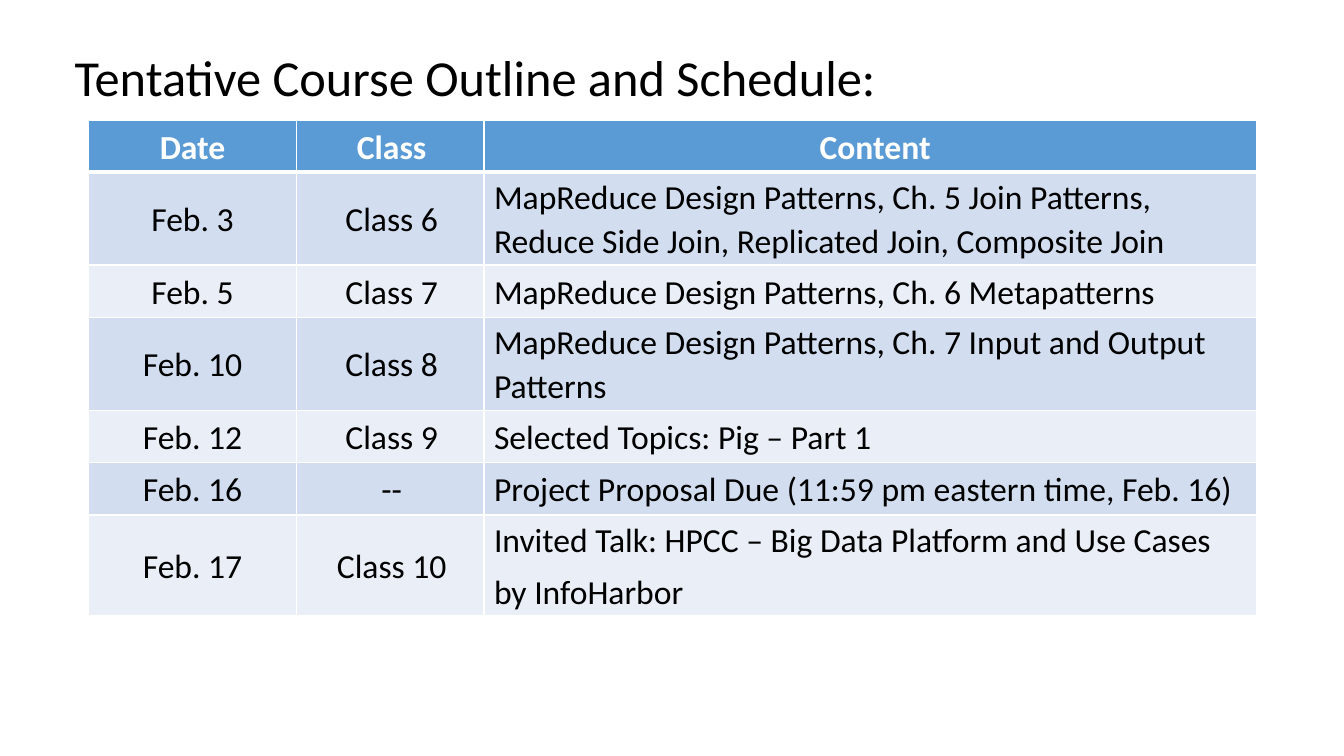
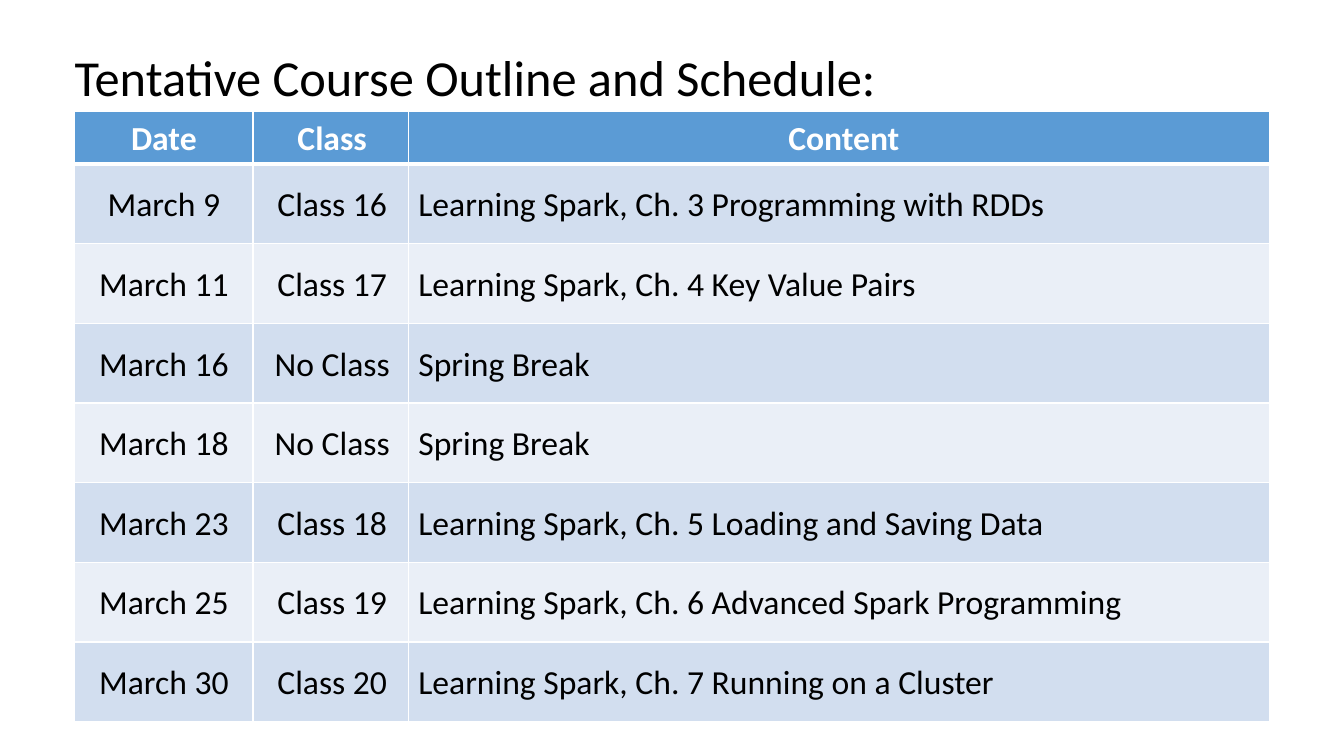
"""Build two course schedule slides, each with a title and a banded table."""
from lxml import etree
from pptx import Presentation
from pptx import util as u
from pptx.dml.color import RGBColor
from pptx.enum import text
from pptx.oxml.ns import qn

COLORS = {"header": "5B9BD5", "odd": "D2DEEF", "even": "EAEFF7",
          "border": "FFFFFF", "header_text": "FFFFFF", "text": "000000"}
FONT = "Calibri"
TITLE = "Tentative Course Outline and Schedule:"
TITLE_BOX = (0.64, 0.44, 8.21, 0.67)
HEADINGS = ("Date", "Class", "Content")
INDENTS = (0, 0.03, 0.1)
HEADER_HEIGHT = 0.52

SCHEDULES = [
    {
        "position": (0.88, 1.19),
        "widths": (2.06, 1.86, 7.66),
        "heights": (0.92, 0.52, 0.92, 0.52, 0.52, 1),
        "rows": [
            ("Feb. 3", "Class 6", "MapReduce Design Patterns, Ch. 5 Join Patterns, "
             "Reduce Side Join, Replicated Join, Composite Join"),
            ("Feb. 5", "Class 7", "MapReduce Design Patterns, Ch. 6 Metapatterns"),
            ("Feb. 10", "Class 8", "MapReduce Design Patterns, Ch. 7 Input and Output Patterns"),
            ("Feb. 12", "Class 9", "Selected Topics: Pig – Part 1"),
            ("Feb. 16", "--", "Project Proposal Due (11:59 pm eastern time, Feb. 16)"),
            ("Feb. 17", "Class 10", "Invited Talk: HPCC – Big Data Platform and Use Cases\n"
             "by InfoHarbor"),
        ],
    },
    {
        "position": (0.74, 1.11),
        "widths": (1.77, 1.54, 8.54),
        "heights": (0.79,) * 7,
        "rows": [
            ("March 9", "Class 16", "Learning Spark, Ch. 3 Programming with RDDs"),
            ("March 11", "Class 17", "Learning Spark, Ch. 4 Key Value Pairs"),
            ("March 16", "No Class", "Spring Break"),
            ("March 18", "No Class", "Spring Break"),
            ("March 23", "Class 18", "Learning Spark, Ch. 5 Loading and Saving Data"),
            ("March 25", "Class 19", "Learning Spark, Ch. 6 Advanced Spark Programming"),
            ("March 30", "Class 20", "Learning Spark, Ch. 7 Running on a Cluster"),
        ],
    },
]


def add_run(paragraph, words, size, color, bold=False):
    run = paragraph.add_run()
    run.text = words
    run.font.name = FONT
    run.font.size = u.Pt(size)
    run.font.bold = bold
    run.font.color.rgb = RGBColor.from_string(COLORS[color])


def add_title(slide):
    title = slide.shapes.title
    title.left, title.top, title.width, title.height = map(u.Inches, TITLE_BOX)
    frame = title.text_frame
    frame.word_wrap = True
    frame.auto_size = text.MSO_AUTO_SIZE.NONE
    frame.vertical_anchor = text.MSO_ANCHOR.MIDDLE
    frame.margin_left = frame.margin_right = u.Inches(0.1)
    frame.margin_top, frame.margin_bottom = u.Inches(0.05), 0
    paragraph = frame.paragraphs[0]
    paragraph.alignment = text.PP_ALIGN.LEFT
    paragraph.line_spacing = 0.9
    add_run(paragraph, TITLE, 36, "text")


def set_borders(cell, top, bottom):
    properties = cell._tc.get_or_add_tcPr()
    for side, points in (("L", 1), ("R", 1), ("T", top), ("B", bottom)):
        line = etree.SubElement(properties, qn(f"a:ln{side}"), w=str(u.Pt(points)))
        fill = etree.SubElement(line, qn("a:solidFill"))
        etree.SubElement(fill, qn("a:srgbClr"), val=COLORS["border"])


def fill_cell(cell, words, row, column):
    header = row == 0
    set_borders(cell, 3 if row == 1 else 1, 3 if header else 1)
    band = "header" if header else "odd" if row % 2 else "even"
    cell.fill.solid()
    cell.fill.fore_color.rgb = RGBColor.from_string(COLORS[band])
    cell.vertical_anchor = text.MSO_ANCHOR.MIDDLE
    cell.margin_left = cell.margin_right = cell.margin_top = cell.margin_bottom = 0
    frame = cell.text_frame
    for index, line in enumerate(words.split("\n")):
        paragraph = frame.add_paragraph() if index else frame.paragraphs[0]
        centred = header or column < 2
        paragraph.alignment = text.PP_ALIGN.CENTER if centred else text.PP_ALIGN.LEFT
        paragraph.line_spacing = 1.07
        paragraph.space_before = paragraph.space_after = u.Pt(3)
        paragraph._p.get_or_add_pPr().set("marL", str(u.Inches(INDENTS[column])))
        add_run(paragraph, line, 24, "header_text" if header else "text", header)


def add_schedule(slide, schedule):
    rows = [HEADINGS, *schedule["rows"]]
    heights = (HEADER_HEIGHT, *schedule["heights"])
    widths = schedule["widths"]
    left, top = schedule["position"]
    box = map(u.Inches, (left, top, sum(widths), sum(heights)))
    table = slide.shapes.add_table(len(rows), len(widths), *box).table
    for column, width in zip(table.columns, widths):
        column.width = u.Inches(width)
    for row, (height, entries) in enumerate(zip(heights, rows)):
        table.rows[row].height = u.Inches(height)
        for column, words in enumerate(entries):
            fill_cell(table.cell(row, column), words, row, column)


def main():
    presentation = Presentation()
    presentation.slide_width = u.Inches(13.33)
    presentation.slide_height = u.Inches(7.5)
    for schedule in SCHEDULES:
        slide = presentation.slides.add_slide(presentation.slide_layouts[5])
        add_title(slide)
        add_schedule(slide, schedule)
    presentation.save("out.pptx")


if __name__ == "__main__":
    main()
